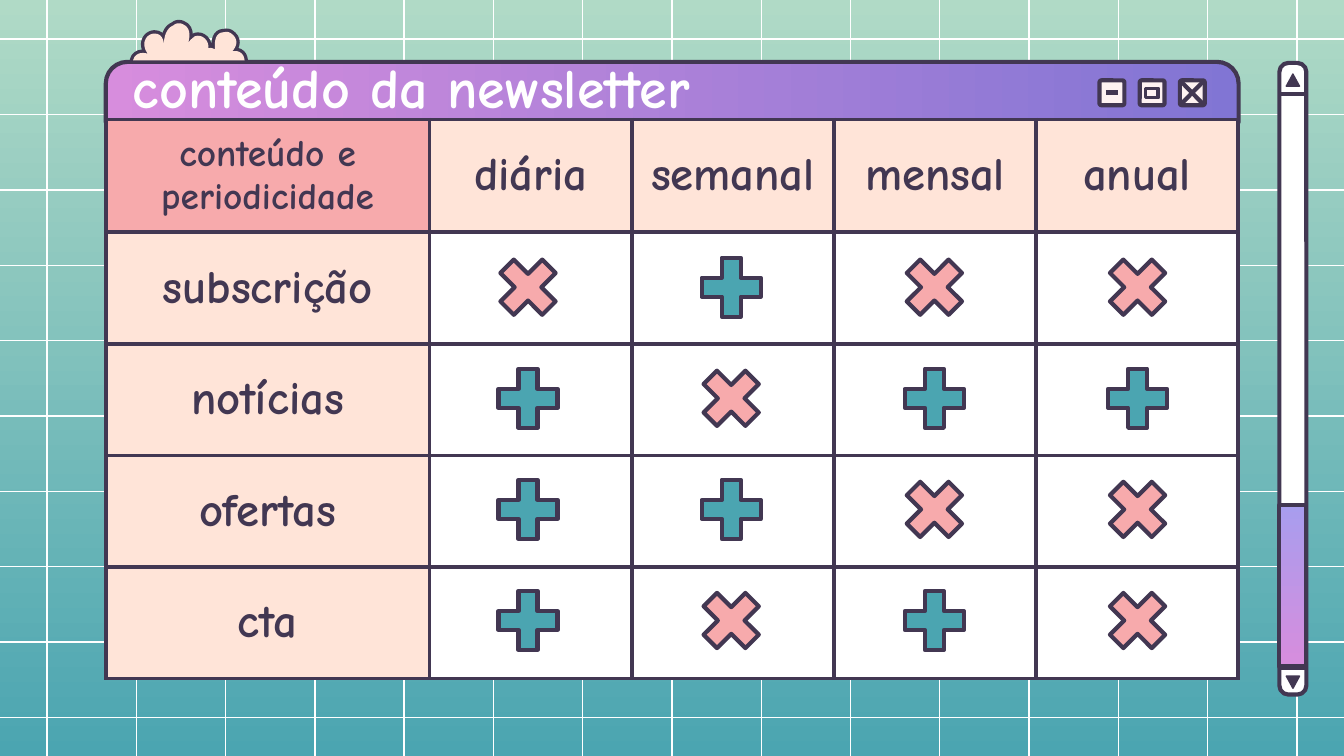
from dataclasses import dataclass

from lxml.etree import SubElement as Sub
from pptx import Presentation
from pptx.dml.color import RGBColor as Rgb
from pptx.dml.fill import FillFormat as Fill
from pptx.enum.shapes import MSO_CONNECTOR as Link, MSO_SHAPE as Kind
from pptx.enum.text import MSO_ANCHOR as Anchor, MSO_AUTO_SIZE as Auto, PP_ALIGN as Align
from pptx.oxml.ns import qn
from pptx.shapes.autoshape import Shape
from pptx.slide import Slide
from pptx.table import _Cell as Cell
from pptx.text.text import _Paragraph as Para
from pptx.util import Cm, Pt


@dataclass(frozen=True)
class Theme:
    font: str = "Comic Neue"
    ink: str = "423752"
    white: str = "FFFFFF"
    cream: str = "FFE4D8"
    pale: str = "FEF2F2"
    pink: str = "F7AAAC"
    teal: str = "4BA5B1"
    mint: str = "B0DAC6"
    blue: str = "8175D4"
    lilac: str = "A89DEE"
    mauve: str = "D78DDD"
    title: float = 30
    body: float = 25
    small: float = 20
    thin: float = 0.75
    thick: float = 2.25
    halo: float = 3.6


@dataclass(frozen=True)
class Fade:
    start: str
    end: str
    angle: float


@dataclass(frozen=True)
class Box:
    kind: Kind
    x: float
    y: float
    w: float
    h: float
    fill: str | Fade
    line: float = Theme.thick
    adj: tuple[float, ...] = ()
    turn: float = 0


@dataclass(frozen=True)
class Stroke:
    x1: float
    y1: float
    x2: float
    y2: float
    color: str = Theme.ink
    width: float = Theme.thick


T = Theme()
WIDE, HIGH = 25.4, 14.29
COLS = (6.12,) + (3.82,) * 4
ROW = 2.11
HEAD = ("conteúdo e periodicidade", "diária", "semanal", "mensal", "anual")
ROWS = {"subscrição": "x+xx", "notícias": "+x++", "ofertas": "++xx", "cta": "+x+x"}
MARKS = {"x": (Kind.MATH_MULTIPLY, T.pink), "+": (Kind.MATH_PLUS, T.teal)}
UNIT = 0.0254
PUFFS = (
    (182, 45, 182, 37, 173, 38), (173, 38, 178, 33, 175, 28),
    (173, 25, 170, 23, 167, 24), (163, 24, 159, 26, 160, 37),
    (160, 37, 158, 35, 155, 36), (156, 31, 151, 25, 145, 27),
    (144, 28, 142, 29, 140, 32), (140, 32, 144, 21, 136, 18),
    (134, 17, 131, 17, 129, 19), (126, 20, 122, 24, 122, 33),
    (122, 33, 122, 25, 115, 25), (112, 25, 109, 27, 108, 30),
    (107, 32, 107, 36, 110, 40), (110, 40, 101, 37, 99, 45),
)


def paint(fill: Fill, look: str | Fade) -> None:
    """Apply a solid colour or a two-stop gradient."""
    if isinstance(look, Fade):
        fill.gradient()
        fill.gradient_angle = look.angle
        for stop, color in zip(fill.gradient_stops, (look.start, look.end)):
            stop.color.rgb = Rgb.from_string(color)
    else:
        fill.solid()
        fill.fore_color.rgb = Rgb.from_string(look)


def finish(shape: Shape, look: str | Fade, width: float) -> None:
    """Set the fill and outline, without a shadow."""
    shape.shadow.inherit = False
    paint(shape.fill, look)
    if width:
        paint(shape.line.fill, T.ink)
        shape.line.width = Pt(width)
    else:
        shape.line.fill.background()


def draw(slide: Slide, box: Box) -> None:
    """Draw a preset shape."""
    shape = slide.shapes.add_shape(box.kind, Cm(box.x), Cm(box.y), Cm(box.w), Cm(box.h))
    for i, value in enumerate(box.adj):
        shape.adjustments[i] = value
    shape.rotation = box.turn
    finish(shape, box.fill, box.line)


def rule(slide: Slide, item: Stroke) -> None:
    """Draw a straight line."""
    line = slide.shapes.add_connector(
        Link.STRAIGHT, Cm(item.x1), Cm(item.y1), Cm(item.x2), Cm(item.y2))
    paint(line.line.fill, item.color)
    line.line.width = Pt(item.width)
    Sub(line.element.spPr, qn("a:effectLst"))


def write(para: Para, text: str, size: float, color: str) -> None:
    """Add one styled run."""
    run = para.add_run()
    run.text = text
    run.font.name, run.font.size, run.font.bold = T.font, Pt(size), True
    run.font.color.rgb = Rgb.from_string(color)


def grid(slide: Slide) -> None:
    """Draw the background and its white grid."""
    paint(slide.background.fill, Fade(T.mint, T.teal, 270))
    for i in range(15):
        x = 0.89 + i * 23.62 / 14
        rule(slide, Stroke(x, -0.18, x, 14.48, T.white, T.thin))
    for i in range(10):
        y = 0.74 + i * 12.82 / 9
        rule(slide, Stroke(-0.15, y, 25.55, y, T.white, T.thin))


def window(slide: Slide) -> None:
    """Draw the title bar and its three buttons."""
    draw(slide, Box(Kind.ROUND_2_SAME_RECTANGLE, 2, 1.17, 21.41, 1.14,
                    Fade(T.blue, T.mauve, 180), adj=(0.358, 0)))
    for x in (20.78, 21.54, 22.3):
        draw(slide, Box(Kind.ROUNDED_RECTANGLE, x, 1.52, 0.47, 0.47, T.pale, adj=(0.08,)))
    rule(slide, Stroke(20.9, 1.75, 21.13, 1.75))
    draw(slide, Box(Kind.RECTANGLE, 21.65, 1.67, 0.24, 0.18, T.pale, 1.85))
    rule(slide, Stroke(22.31, 1.53, 22.75, 1.98))
    rule(slide, Stroke(22.75, 1.53, 22.31, 1.98))


def scroll(slide: Slide) -> None:
    """Draw the scroll bar."""
    draw(slide, Box(Kind.ROUNDED_RECTANGLE, 24.18, 1.19, 0.51, 11.94, T.white, adj=(0.332,)))
    for y, turn, edge in ((1.4, 0, 1.78), (12.78, 180, 12.62)):
        draw(slide, Box(Kind.ISOSCELES_TRIANGLE, 24.31, y, 0.25, 0.23, T.ink, T.thin, turn=turn))
        rule(slide, Stroke(24.16, edge, 24.71, edge))
    draw(slide, Box(Kind.RECTANGLE, 24.18, 9.55, 0.51, 3.05, Fade(T.lilac, T.mauve, 270)))


def curve(start: tuple[float, float], puff: tuple[int, ...]) -> list[tuple[float, float]]:
    """Return points along a cubic curve."""
    xs, ys = (start[0], *puff[::2]), (start[1], *puff[1::2])
    steps = [i / 8 for i in range(1, 9)]
    mix = [((1 - t) ** 3, 3 * t * (1 - t) ** 2, 3 * t * t * (1 - t), t ** 3) for t in steps]
    return [tuple(sum(k * v for k, v in zip(m, vs)) for vs in (xs, ys)) for m in mix]


def cloud(slide: Slide) -> None:
    """Draw the cloud over its dark halo."""
    dots = [(99, 45), (182, 45)]
    for puff in PUFFS:
        dots += curve(dots[-1], puff)
    dots = [(Cm(x * UNIT), Cm(y * UNIT)) for x, y in dots]
    for color, width in ((T.ink, T.halo), (T.cream, 0)):
        path = slide.shapes.build_freeform(*dots[0])
        path.add_line_segments(dots[1:], close=True)
        finish(path.convert_to_shape(), color, width)


def name(slide: Slide) -> None:
    """Place the slide title above the bar."""
    title = slide.shapes.title
    slide.shapes.element.append(title.element)
    title.left, title.top, title.width, title.height = Cm(2), Cm(1.25), Cm(16.71), Cm(1.02)
    frame = title.text_frame
    frame.auto_size, frame.word_wrap = Auto.NONE, True
    frame.vertical_anchor = Anchor.MIDDLE
    frame.margin_left, frame.margin_top = Cm(0.51), 0
    frame.margin_right = frame.margin_bottom = Cm(0.25)
    para = frame.paragraphs[0]
    para.alignment = Align.LEFT
    write(para, "conteúdo da newsletter", T.title, T.white)


def style(cell: Cell, text: str, size: float, color: str) -> None:
    """Set the borders, fill and text of a cell."""
    props = cell._tc.get_or_add_tcPr()
    for side in "LRTB":
        edge = Sub(props, qn(f"a:ln{side}"), w=str(Pt(T.thick)))
        Sub(Sub(edge, qn("a:solidFill")), qn("a:srgbClr"), val=T.ink)
    paint(cell.fill, color)
    cell.vertical_anchor = Anchor.MIDDLE
    cell.margin_left = cell.margin_right = cell.margin_top = cell.margin_bottom = Cm(0.25)
    if text:
        para = cell.text_frame.paragraphs[0]
        para.alignment = Align.CENTER
        write(para, text, size, T.ink)


def table(slide: Slide) -> None:
    """Draw the table and its marks."""
    texts = [HEAD] + [(key, "", "", "", "") for key in ROWS]
    chart = slide.shapes.add_table(
        len(texts), len(COLS), Cm(2), Cm(2.26), Cm(sum(COLS)), Cm(ROW * len(texts))).table
    chart.first_row = chart.horz_banding = False
    for col, width in zip(chart.columns, COLS):
        col.width = Cm(width)
    for r, row in enumerate(texts):
        chart.rows[r].height = Cm(ROW)
        for c, text in enumerate(row):
            first = r == c == 0
            color = T.pink if first else T.cream if text else T.white
            style(chart.cell(r, c), text, T.small if first else T.body, color)
    for r, marks in enumerate(ROWS.values()):
        for c, mark in enumerate(marks):
            kind, color = MARKS[mark]
            draw(slide, Box(kind, 9.22 + 3.84 * c, 4.67 + 2.1 * r, 1.52, 1.52, color, adj=(0.235,)))


def main() -> None:
    """Build and save the slide."""
    deck = Presentation()
    deck.slide_width, deck.slide_height = Cm(WIDE), Cm(HIGH)
    slide = deck.slides.add_slide(deck.slide_layouts[5])
    for part in (grid, window, scroll, cloud, name, table):
        part(slide)
    deck.save("out.pptx")


if __name__ == "__main__":
    main()
